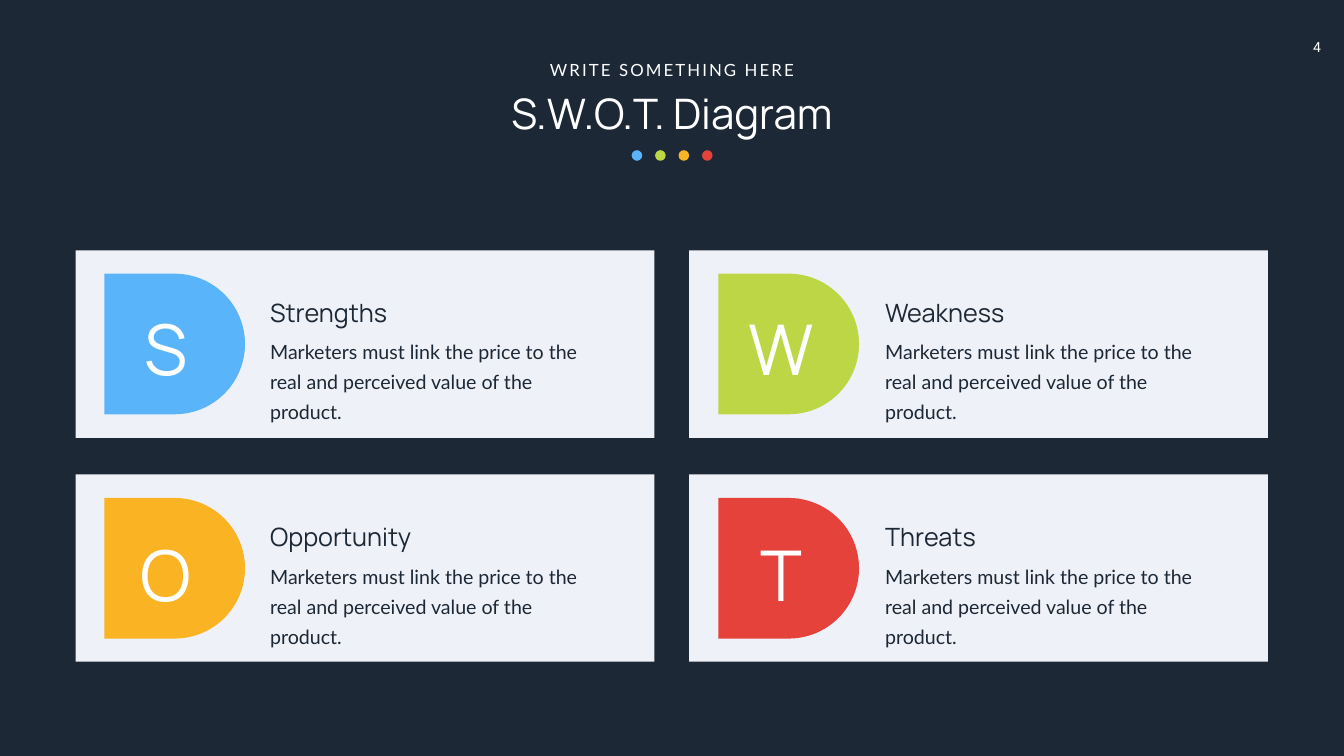
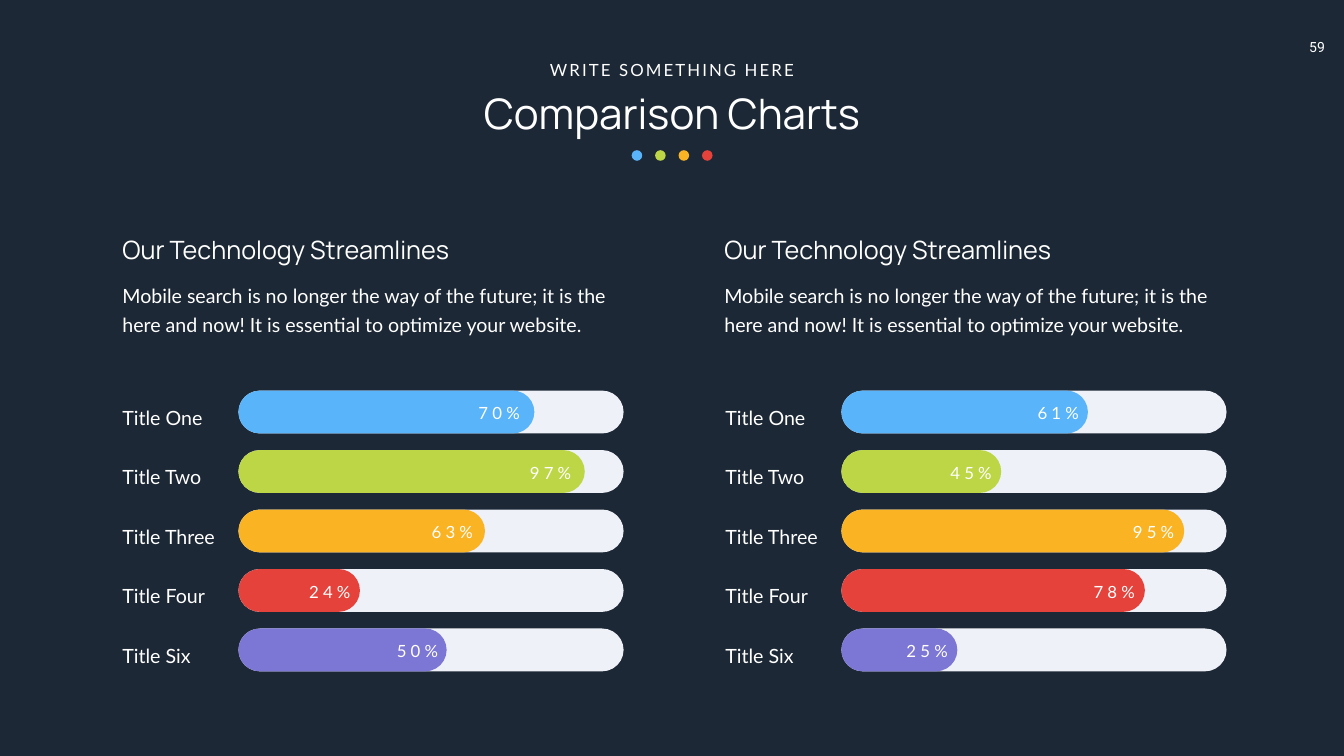
from pptx import Presentation
from pptx.dml.color import RGBColor
from pptx.enum.shapes import MSO_SHAPE
from pptx.enum.text import MSO_ANCHOR, MSO_AUTO_SIZE, PP_ALIGN
from pptx.util import Inches, Pt

RECTANGLE = MSO_SHAPE.RECTANGLE
PILL = MSO_SHAPE.ROUNDED_RECTANGLE
OVAL = MSO_SHAPE.OVAL
DELAY = MSO_SHAPE.FLOWCHART_DELAY
LEFT, CENTER, RIGHT = PP_ALIGN.LEFT, PP_ALIGN.CENTER, PP_ALIGN.RIGHT
TOP = MSO_ANCHOR.TOP
GROW = MSO_AUTO_SIZE.SHAPE_TO_FIT_TEXT

# Shared style
SLIDE_WIDTH, SLIDE_HEIGHT = 26.66, 15
NAVY, WHITE, PALE = "1C2835", "FFFFFF", "EFF1F8"
BLUE, GREEN, YELLOW, RED, PURPLE = "5AB4FA", "BDD645", "FAB323", "E5423B", "7C76D4"
ACCENTS = [BLUE, GREEN, YELLOW, RED, PURPLE]
HEADING_FONT, BODY_FONT, NUMBER_FONT = "Manrope", "Lato", "Roboto"
TITLE_ONLY = 5

# Slide content
SWOT_TEXT = "Marketers must link the price to the real and perceived value of the product."
SWOT = [  # heading, heading width
    ("Strengths", 2.66),
    ("Weakness", 2.82),
    ("Opportunity", 3.26),
    ("Threats", 2.12),
]
COMPARISON_HEADING = "Our Technology Streamlines"
COMPARISON_TEXT = ("Mobile search is no longer the way of the future; it is the here and now! "
                   "It is essential to optimize your website.")
ROW_TITLES = ["Title One", "Title Two", "Title Three", "Title Four", "Title Six"]
COMPARISON = [  # value, bar width, value offset from the bar's left end
    [("70%", 5.87, 4.56), ("97%", 6.87, 5.58), ("63%", 4.89, 3.63),
     ("24%", 2.41, 1.2), ("50%", 4.13, 2.94)],
    [("61%", 4.89, 3.69), ("45%", 3.17, 1.96), ("95%", 6.8, 5.58),
     ("78%", 6.02, 4.8), ("25%", 2.3, 1.09)],
]


def rgb(value):
    return RGBColor.from_string(value)


class Deck:
    """Holds the style and the current slide."""

    def __init__(self):
        self.presentation = Presentation()
        self.presentation.slide_width = Inches(SLIDE_WIDTH)
        self.presentation.slide_height = Inches(SLIDE_HEIGHT)
        fill = self.presentation.slide_master.background.fill
        fill.solid()
        fill.fore_color.rgb = rgb(NAVY)
        self.slide = None

    def new_slide(self, title, title_width, number):
        layout = self.presentation.slide_layouts[TITLE_ONLY]
        self.slide = self.presentation.slides.add_slide(layout)

        # Page number
        frame = self.text(number, 25.62, 0.67, 1.01, 0.54, 20, NUMBER_FONT, align=CENTER)
        frame.margin_left = frame.margin_right = Inches(0.2)
        frame.margin_top = frame.margin_bottom = Inches(0.1)

        # Title and the line above it
        shape = self.slide.shapes.title
        shape.left, shape.top = Inches((SLIDE_WIDTH - title_width) / 2), Inches(1.68)
        shape.width, shape.height = Inches(title_width), Inches(1.11)
        self.format_text(shape, title, 60, HEADING_FONT, align=CENTER)
        self.text("WRITE SOMETHING HERE", 10.76, 1.13, 5.14, 0.5, 24,
                  align=CENTER, wrap=False, tracking=3)

        # Accent dots
        for index, color in enumerate(ACCENTS[:4]):
            self.shape(OVAL, 12.53 + index * 0.465, 2.98, 0.21, 0.21, color)

    def shape(self, kind, left, top, width, height, color):
        shape = self.slide.shapes.add_shape(
            kind, Inches(left), Inches(top), Inches(width), Inches(height))
        shape.shadow.inherit = False
        shape.fill.solid()
        shape.fill.fore_color.rgb = rgb(color)
        shape.line.fill.background()
        return shape

    def pill(self, left, top, width, color):
        self.shape(PILL, left, top, width, 0.85, color).adjustments[0] = 0.5

    def text(self, text, left, top, width, height, size, font=BODY_FONT, **style):
        box = self.slide.shapes.add_textbox(
            Inches(left), Inches(top), Inches(width), Inches(height))
        return self.format_text(box, text, size, font, **style)

    def format_text(self, shape, text, size, font, color=WHITE, align=LEFT,
                    wrap=True, line_spacing=None, tracking=None):
        frame = shape.text_frame
        frame.text = text
        frame.word_wrap = wrap
        frame.auto_size = GROW
        frame.vertical_anchor = TOP
        paragraph = frame.paragraphs[0]
        paragraph.alignment = align
        if line_spacing:
            paragraph.line_spacing = Pt(line_spacing)
        run = paragraph.runs[0]
        run.font.size = Pt(size)
        run.font.name = font
        run.font.color.rgb = rgb(color)
        if tracking:
            run._r.get_or_add_rPr().set("spc", str(tracking * 100))
        return frame


def build_swot(deck):
    deck.new_slide("S.W.O.T. Diagram", 16.06, "4")
    for index, (heading, heading_width) in enumerate(SWOT):
        row, column = divmod(index, 2)

        # Card and badge with the initial letter
        deck.shape(RECTANGLE, 1.5 + column * 12.17, 4.97 + row * 4.44, 11.48, 3.72, PALE)
        deck.shape(DELAY, 2.07 + column * 12.18, 5.43 + row * 4.45, 2.79, 2.79,
                   ACCENTS[index])
        deck.text(heading[0], 1.9 + column * 12.22, 6.01 + row * 4.48, 2.77, 1.78,
                  100, HEADING_FONT, align=CENTER)

        # Heading and description
        text_left = 5.26 + column * 12.2
        deck.text(heading, text_left, 5.84 + row * 4.46, heading_width, 0.71,
                  36, HEADING_FONT, color=NAVY, wrap=False)
        deck.text(SWOT_TEXT, text_left, 6.57 + row * 4.45, 6.91, 1.24,
                  28, color=NAVY, line_spacing=43)


def build_comparison(deck):
    deck.new_slide("Comparison Charts", 15.09, "59")
    for column, values in enumerate(COMPARISON):
        # Introduction
        text_left = 2.33 + column * 11.94
        deck.text(COMPARISON_HEADING, text_left, 4.63, 7.4, 0.68,
                  36, HEADING_FONT, line_spacing=40.8)
        deck.text(COMPARISON_TEXT, text_left, 5.49, 10.2, 1.19, 28, line_spacing=40.8)

        # Progress bars
        label_left = 2.33 + column * 11.96
        bar_left = label_left + 2.4
        for row, (value, bar_width, value_offset) in enumerate(values):
            bar_top = 7.75 + row * 1.18
            deck.pill(bar_left, bar_top, 7.64, PALE)
            deck.pill(bar_left, bar_top, bar_width, ACCENTS[row])
            deck.text(ROW_TITLES[row], label_left, bar_top + 0.15, 2.12, 0.56,
                      28, line_spacing=40.8)
            deck.text(value, bar_left + value_offset, bar_top + 0.2, 1.12, 0.46,
                      24, align=RIGHT, wrap=False, tracking=6)


def main():
    deck = Deck()
    build_swot(deck)
    build_comparison(deck)
    deck.presentation.save("out.pptx")


if __name__ == "__main__":
    main()
